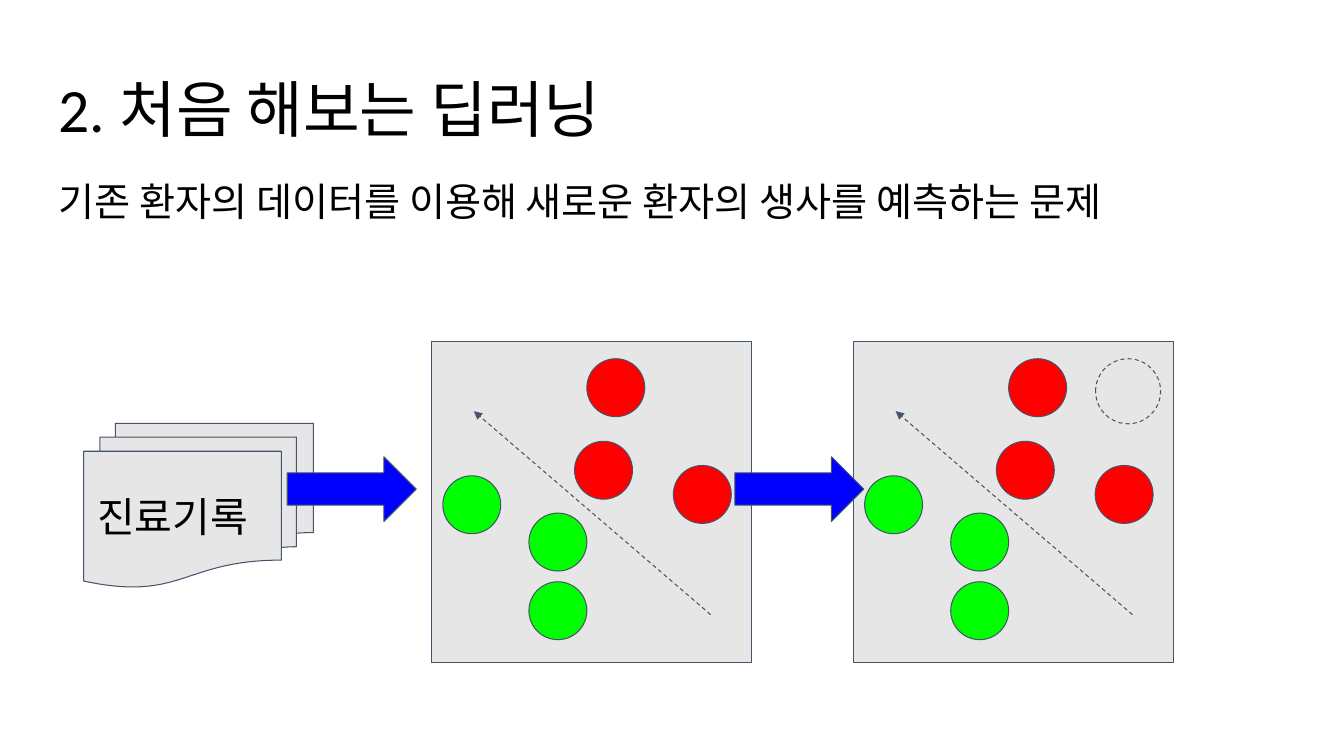
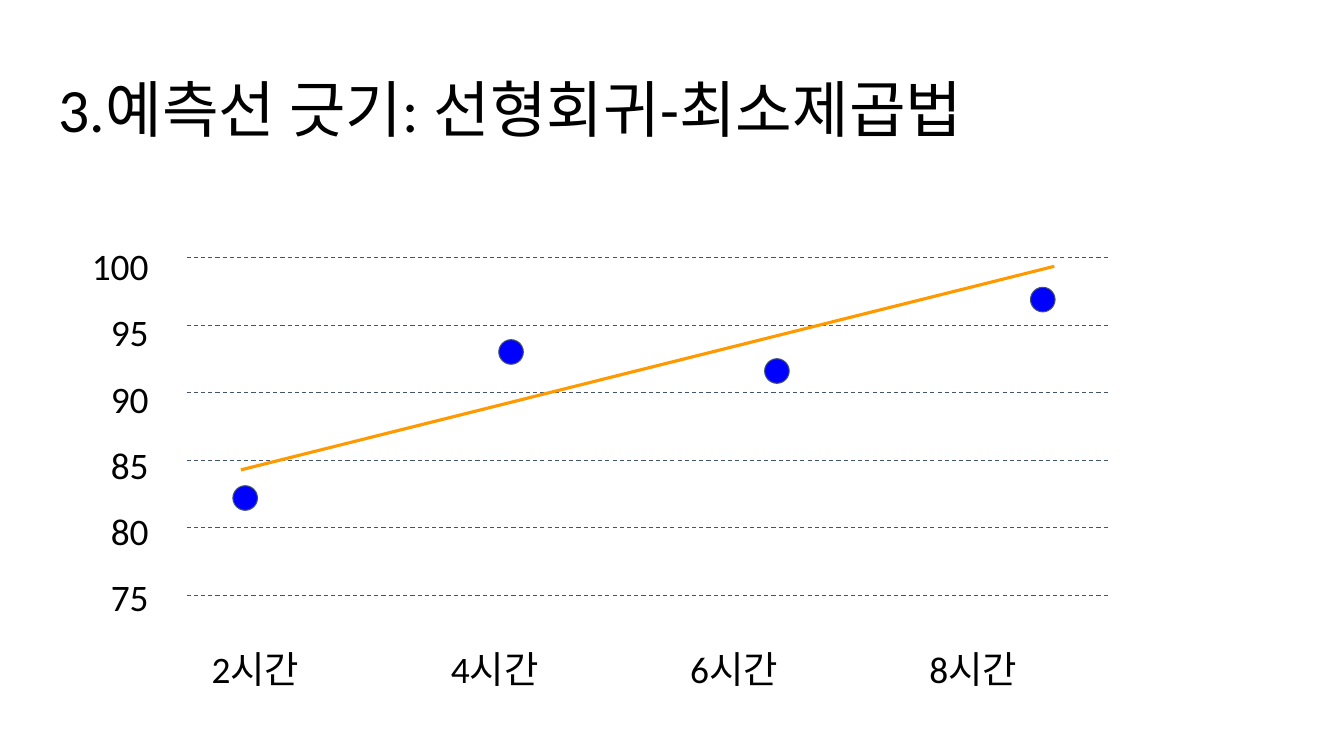
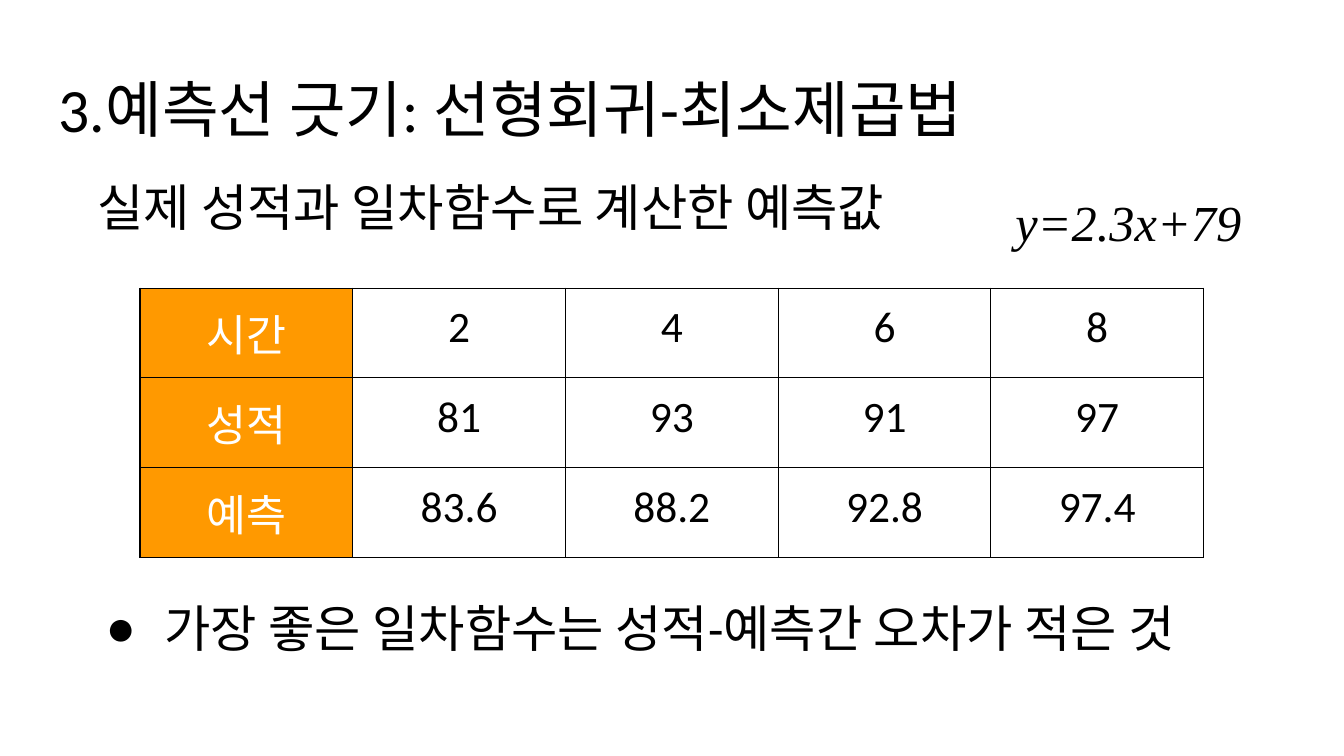
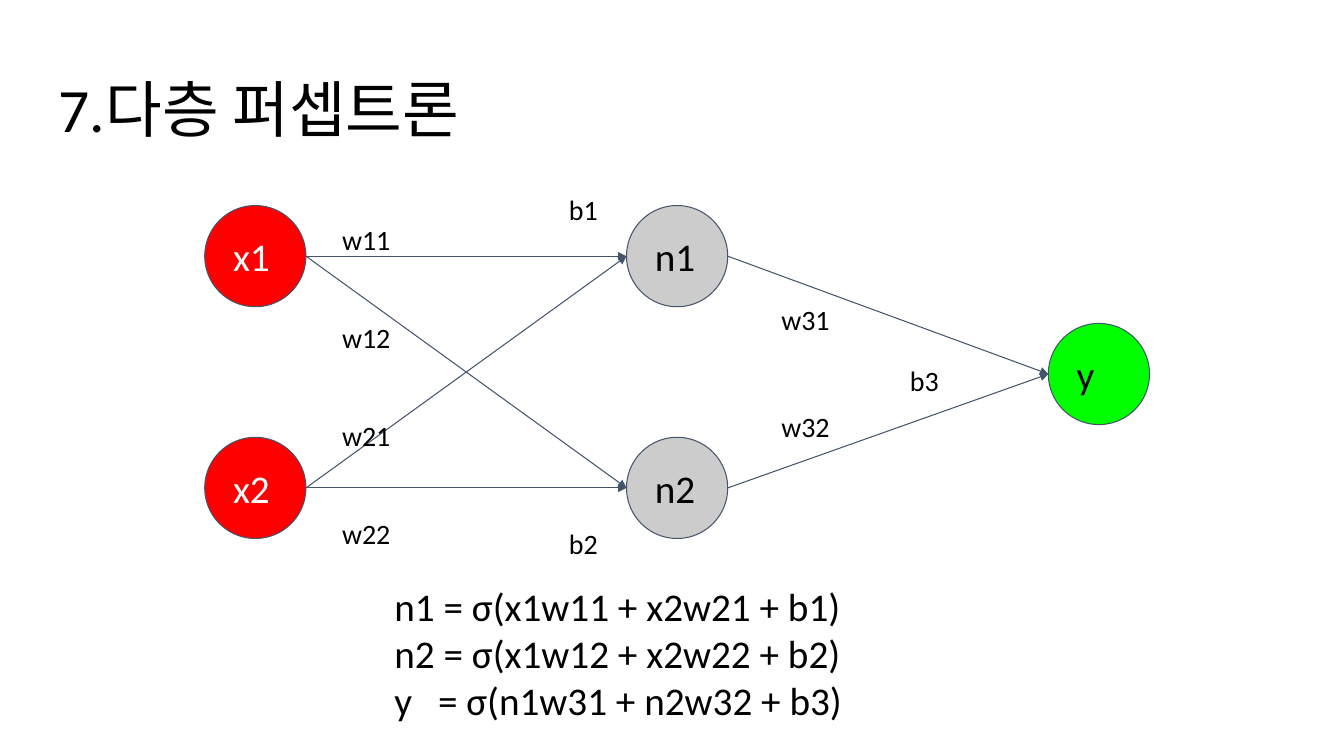
from dataclasses import dataclass
from typing import Optional, Union

from lxml.etree import SubElement
from pptx import Presentation
from pptx.dml.color import RGBColor
from pptx.enum.dml import MSO_LINE
from pptx.enum.shapes import MSO_CONNECTOR, MSO_SHAPE
from pptx.enum.text import MSO_ANCHOR, MSO_AUTO_SIZE, PP_ALIGN
from pptx.oxml.ns import qn
from pptx.presentation import Presentation as Deck
from pptx.shapes.autoshape import Shape
from pptx.shapes.connector import Connector
from pptx.shapes.shapetree import GroupShapes, SlideShapes
from pptx.slide import Slide
from pptx.table import _Cell
from pptx.text.text import TextFrame, _Paragraph
from pptx.util import Cm, Pt

Shapes = Union[SlideShapes, GroupShapes]


@dataclass(frozen=True)
class Theme:
    font: str = "Calibri"
    math_font: str = "Times New Roman"
    black: RGBColor = RGBColor(0x00, 0x00, 0x00)
    white: RGBColor = RGBColor(0xFF, 0xFF, 0xFF)
    outline: RGBColor = RGBColor(0x44, 0x54, 0x6A)
    panel: RGBColor = RGBColor(0xE7, 0xE6, 0xE6)
    gray: RGBColor = RGBColor(0xCC, 0xCC, 0xCC)
    red: RGBColor = RGBColor(0xFF, 0x00, 0x00)
    green: RGBColor = RGBColor(0x00, 0xFF, 0x00)
    blue: RGBColor = RGBColor(0x00, 0x00, 0xFF)
    orange: RGBColor = RGBColor(0xFF, 0x99, 0x00)
    title: float = 44
    lead: float = 36
    cell: float = 31
    record: float = 29.3
    body: float = 28
    axis: float = 26.7
    label: float = 20
    thin: float = 0.75
    border: float = 1
    trend: float = 2.25
    inset: float = 0.34
    leading: float = 0.9


T = Theme()


@dataclass(frozen=True)
class Box:
    x: float
    y: float
    w: float
    h: float


@dataclass(frozen=True)
class Dot:
    x: float
    y: float
    color: RGBColor


@dataclass(frozen=True)
class Node:
    text: str
    x: float
    y: float
    fill: RGBColor
    color: RGBColor


@dataclass(frozen=True)
class Label:
    text: str
    x: float
    y: float
    align: PP_ALIGN = PP_ALIGN.LEFT


TITLE_BOX = Box(1.14, 1.65, 31.55, 2.13)
REGRESSION_TITLE = "3.예측선 긋기: 선형회귀-최소제곱법"
PANEL_SIZE = 8.08
PATIENT_SIZE = 1.46
PATIENTS = (
    Dot(0.29, 3.38, T.green),
    Dot(2.46, 4.32, T.green),
    Dot(2.46, 6.05, T.green),
    Dot(3.92, 0.43, T.red),
    Dot(3.61, 2.51, T.red),
    Dot(6.1, 3.12, T.red),
)
NODE_SIZE = 2.55
X1 = Node("x1", 5.16, 5.18, T.red, T.white)
X2 = Node("x2", 5.16, 11.02, T.red, T.white)
N1 = Node("n1", 15.79, 5.18, T.gray, T.black)
N2 = Node("n2", 15.79, 11.02, T.gray, T.black)
Y = Node("y", 26.42, 8.15, T.green, T.black)
LINKS = ((X1, N2), (X1, N1), (X2, N2), (X2, N1), (N2, Y), (N1, Y))
WEIGHTS = tuple(
    Label(t, 8.28, 5.26 + 2.47 * i)
    for i, t in enumerate(("w11", "w12", "w21", "w22"))
)
LABELS = WEIGHTS + (
    Label("w31", 19.35, 7.29),
    Label("w32", 19.35, 9.98),
    Label("b1", 14, 4.5),
    Label("b2", 14, 12.93),
    Label("b3", 21.92, 8.81, PP_ALIGN.RIGHT),
)


def set_frame(tf: TextFrame, anchor: MSO_ANCHOR = MSO_ANCHOR.TOP) -> None:
    tf.word_wrap = True
    tf.auto_size = MSO_AUTO_SIZE.NONE
    tf.vertical_anchor = anchor
    tf.margin_left = tf.margin_right = Cm(T.inset)
    tf.margin_top = tf.margin_bottom = Cm(T.inset)


def write(p: _Paragraph, text: str, size: float, color: RGBColor = T.black,
          align: PP_ALIGN = PP_ALIGN.LEFT, font: str = T.font,
          italic: bool = False) -> None:
    p.alignment = align
    r = p.add_run()
    r.text = text
    r.font.name = font
    r.font.size = Pt(size)
    r.font.italic = italic
    r.font.color.rgb = color


def add_text(shapes: Shapes, box: Box, text: str, size: float,
             align: PP_ALIGN = PP_ALIGN.LEFT, font: str = T.font,
             italic: bool = False) -> Shape:
    sp = shapes.add_textbox(Cm(box.x), Cm(box.y), Cm(box.w), Cm(box.h))
    set_frame(sp.text_frame)
    write(sp.text_frame.paragraphs[0], text, size, T.black, align, font, italic)
    return sp


def fill_placeholder(sp: Shape, box: Box, text: str, size: float) -> _Paragraph:
    sp.left, sp.top, sp.width, sp.height = Cm(box.x), Cm(box.y), Cm(box.w), Cm(box.h)
    set_frame(sp.text_frame)
    p = sp.text_frame.paragraphs[0]
    write(p, text, size)
    p.line_spacing = T.leading
    p.space_before = Pt(0)
    return p


def fill_body(s: Slide, idx: int, box: Box, text: str, size: float,
              bullet: Optional[str] = None) -> None:
    p = fill_placeholder(s.placeholders[idx], box, text, size)
    pPr = p._p.get_or_add_pPr()
    pPr.set("marL", str(Cm(1.69) if bullet else 0))
    pPr.set("indent", str(Cm(-1.48) if bullet else 0))
    if bullet:
        SubElement(pPr, qn("a:buChar")).set("char", bullet)
    else:
        SubElement(pPr, qn("a:buNone"))


def add_slide(prs: Deck, layout: int, title: str) -> Slide:
    s = prs.slides.add_slide(prs.slide_layouts[layout])
    fill_placeholder(s.shapes.title, TITLE_BOX, title, T.title)
    return s


def add_figure(shapes: Shapes, kind: MSO_SHAPE, box: Box, fill: RGBColor,
               dashed: bool = False) -> Shape:
    sp = shapes.add_shape(kind, Cm(box.x), Cm(box.y), Cm(box.w), Cm(box.h))
    sp.shadow.inherit = False
    sp.fill.solid()
    sp.fill.fore_color.rgb = fill
    sp.line.color.rgb = T.outline
    sp.line.width = Pt(T.thin)
    if dashed:
        sp.line.dash_style = MSO_LINE.DASH
    return sp


def add_circle(shapes: Shapes, x: float, y: float, size: float,
               fill: RGBColor, dashed: bool = False) -> Shape:
    return add_figure(shapes, MSO_SHAPE.FLOWCHART_CONNECTOR,
                      Box(x, y, size, size), fill, dashed)


def add_line(shapes: Shapes, x1: float, y1: float, x2: float, y2: float,
             color: RGBColor = T.outline, width: float = T.thin,
             dashed: bool = False, arrow: bool = False) -> Connector:
    cx = shapes.add_connector(MSO_CONNECTOR.STRAIGHT,
                              Cm(x1), Cm(y1), Cm(x2), Cm(y2))
    cx.line.color.rgb = color
    cx.line.width = Pt(width)
    if dashed:
        cx.line.dash_style = MSO_LINE.DASH
    if arrow:
        SubElement(cx.line._get_or_add_ln(), qn("a:tailEnd")).set("type", "triangle")
    SubElement(cx._element.spPr, qn("a:effectLst"))
    return cx


def add_patient_panel(s: Slide, x: float, y: float) -> None:
    shapes = s.shapes.add_group_shape().shapes
    add_figure(shapes, MSO_SHAPE.RECTANGLE, Box(x, y, PANEL_SIZE, PANEL_SIZE), T.panel)
    for dot in PATIENTS:
        add_circle(shapes, x + dot.x, y + dot.y, PATIENT_SIZE, dot.color)
    add_line(shapes, x + 7.04, y + 6.88, x + 1.07, y + 1.75, dashed=True, arrow=True)


def set_borders(cell: _Cell) -> None:
    tcPr = cell._tc.get_or_add_tcPr()
    for side in ("a:lnL", "a:lnR", "a:lnT", "a:lnB"):
        ln = SubElement(tcPr, qn(side))
        ln.set("w", str(Pt(T.border)))
        fill = SubElement(ln, qn("a:solidFill"))
        SubElement(fill, qn("a:srgbClr")).set("val", str(T.black))


def set_cell(cell: _Cell, text: str, header: bool) -> None:
    set_borders(cell)
    cell.margin_left = cell.margin_right = Cm(T.inset)
    cell.margin_top = cell.margin_bottom = Cm(T.inset)
    if header:
        cell.fill.solid()
        cell.fill.fore_color.rgb = T.orange
    else:
        cell.fill.background()
    write(cell.text_frame.paragraphs[0], text, T.cell,
          T.white if header else T.black, PP_ALIGN.CENTER)


def add_grid_table(s: Slide, x: float, y: float, col_w: float, row_h: float,
                   rows: tuple[tuple[str, ...], ...]) -> None:
    n_rows, n_cols = len(rows), len(rows[0])
    tbl = s.shapes.add_table(n_rows, n_cols, Cm(x), Cm(y),
                             Cm(col_w * n_cols), Cm(row_h * n_rows)).table
    tbl.first_row = False
    tbl.horz_banding = False
    for col in tbl.columns:
        col.width = Cm(col_w)
    for i, row in enumerate(rows):
        tbl.rows[i].height = Cm(row_h)
        for j, text in enumerate(row):
            set_cell(tbl.cell(i, j), text, header=j == 0)


def build_first_learning(prs: Deck) -> None:
    s = add_slide(prs, 1, "2. 처음 해보는 딥러닝")
    fill_body(s, 1, Box(1.14, 4.27, 31.55, 3.28),
              "기존 환자의 데이터를 이용해 새로운 환자의 생사를 예측하는 문제", T.body)
    records = add_figure(s.shapes, MSO_SHAPE.FLOWCHART_MULTIDOCUMENT,
                         Box(2.11, 10.67, 5.79, 4.13), T.panel)
    set_frame(records.text_frame, MSO_ANCHOR.MIDDLE)
    write(records.text_frame.paragraphs[0], "진료기록", T.record)
    for x in (10.87, 21.5):
        add_patient_panel(s, x, 8.61)
    add_circle(s.shapes, 27.61, 9.04, 1.64, T.panel, dashed=True)
    for x in (7.24, 18.52):
        add_figure(s.shapes, MSO_SHAPE.RIGHT_ARROW, Box(x, 11.51, 3.25, 1.63), T.blue)


def build_regression_plot(prs: Deck) -> None:
    s = add_slide(prs, 5, REGRESSION_TITLE)
    shapes = s.shapes.add_group_shape().shapes
    for i, score in enumerate(range(100, 70, -5)):
        y = 6.5 + 1.7 * i
        add_line(shapes, 4.7, y, 27.97, y, dashed=True)
        add_text(shapes, Box(1.8, 5.79 + 1.67 * i, 2.29, 1.45), str(score),
                 T.axis, PP_ALIGN.RIGHT)
    for i, y in enumerate((12.24, 8.56, 9.04, 7.24)):
        add_text(shapes, Box(4.94 + 6.03 * i, 15.93, 3, 1.45), f"{2 * i + 2}시간",
                 T.axis, PP_ALIGN.CENTER)
        add_circle(shapes, 5.87 + 6.7 * i, y, 0.62, T.blue)
    add_line(s.shapes, 6.07, 11.84, 26.57, 6.71, T.orange, T.trend)


def build_prediction_table(prs: Deck) -> None:
    s = add_slide(prs, 3, REGRESSION_TITLE)
    fill_body(s, 1, Box(2.11, 4.27, 22.43, 2.62),
              "실제 성적과 일차함수로 계산한 예측값", T.lead)
    add_grid_table(s, 3.53, 7.26, 5.36, 1.99, (
        ("시간", "2", "4", "6", "8"),
        ("성적", "81", "93", "91", "97"),
        ("예측", "83.6", "88.2", "92.8", "97.4"),
    ))
    fill_body(s, 2, Box(2.11, 14.88, 30.61, 2.62),
              "가장 좋은 일차함수는 성적-예측간 오차가 적은 것", T.lead, "●")
    add_text(s.shapes, Box(25.25, 4.47, 6.4, 2.13), "y=2.3x+79", T.lead,
             font=T.math_font, italic=True)


def build_perceptron(prs: Deck) -> None:
    s = add_slide(prs, 5, "7.다층 퍼셉트론")
    for node in (X1, X2, N1, N2, Y):
        sp = add_circle(s.shapes, node.x, node.y, NODE_SIZE, node.fill)
        set_frame(sp.text_frame, MSO_ANCHOR.MIDDLE)
        write(sp.text_frame.paragraphs[0], node.text, T.body, node.color)
    mid = NODE_SIZE / 2
    for a, b in LINKS:
        add_line(s.shapes, a.x + NODE_SIZE, a.y + mid, b.x, b.y + mid, arrow=True)
    formulas = add_text(s.shapes, Box(9.6, 14.33, 14.68, 4.29),
                        "n1 = σ(x1w11 + x2w21 + b1)", T.body)
    tf = formulas.text_frame
    write(tf.add_paragraph(), "n2 = σ(x1w12 + x2w22 + b2)", T.body)
    p = tf.add_paragraph()
    tabs = SubElement(p._p.get_or_add_pPr(), qn("a:tabLst"))
    tab = SubElement(tabs, qn("a:tab"))
    tab.set("pos", str(Cm(1.1)))
    tab.set("algn", "l")
    write(p, "y\t= σ(n1w31 + n2w32 + b3)", T.body)
    for label in LABELS:
        add_text(s.shapes, Box(label.x, label.y, 2.08, 1.22), label.text,
                 T.label, label.align)


def main() -> None:
    prs = Presentation()
    prs.slide_width, prs.slide_height = Cm(33.87), Cm(19.05)
    build_first_learning(prs)
    build_regression_plot(prs)
    build_prediction_table(prs)
    build_perceptron(prs)
    prs.save("out.pptx")


if __name__ == "__main__":
    main()
